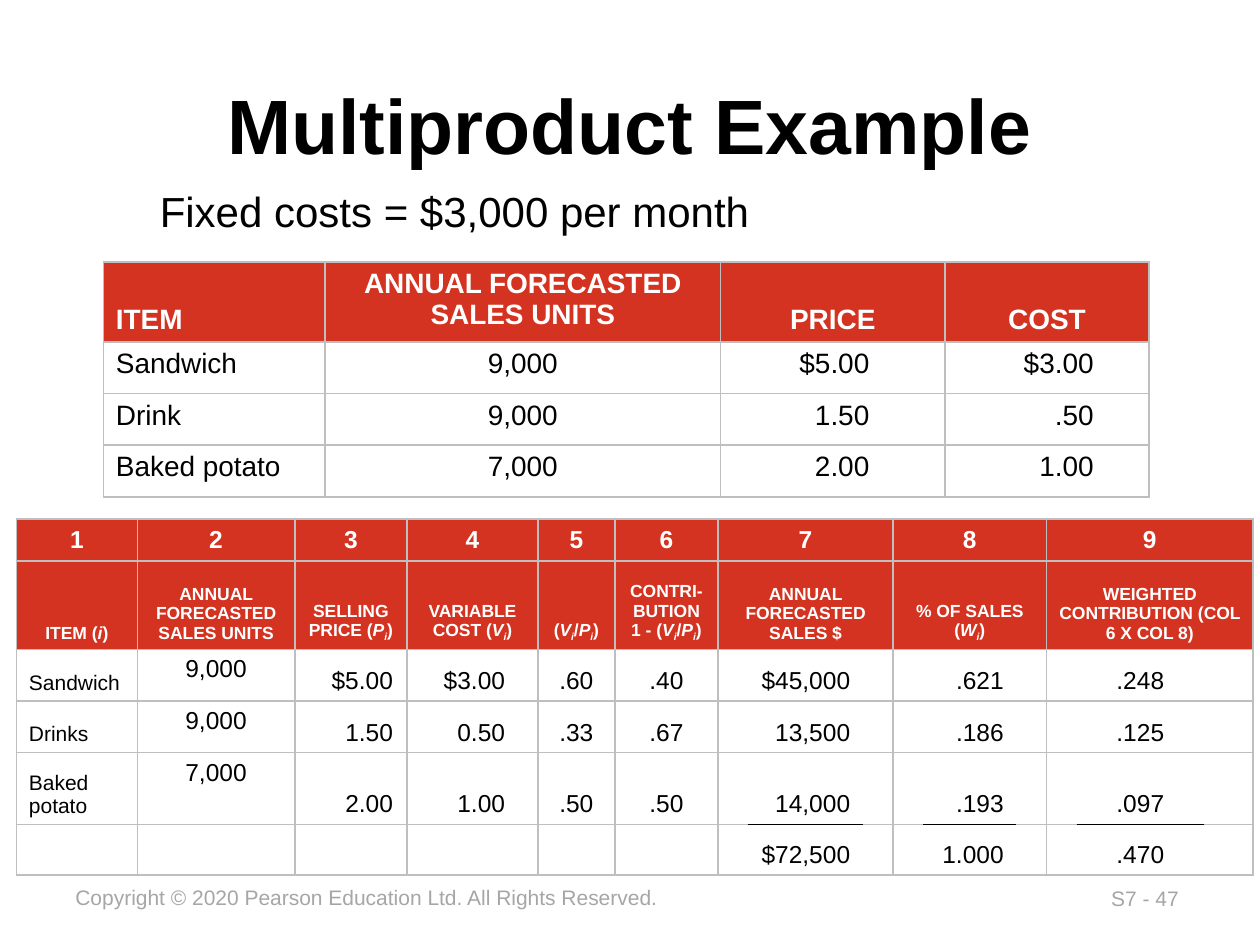
from lxml.etree import SubElement
from pptx import Presentation
from pptx.dml.color import RGBColor
from pptx.enum.text import MSO_ANCHOR, MSO_AUTO_SIZE, PP_ALIGN
from pptx.oxml.ns import qn
from pptx.util import Inches, Pt

RED, GREY, BLACK, WHITE = "D33320", "BFBFBF", "000000", "FFFFFF"
LEFT, MID, RIGHT = PP_ALIGN.LEFT, PP_ALIGN.CENTER, PP_ALIGN.RIGHT
TOP, LOW = MSO_ANCHOR.TOP, MSO_ANCHOR.BOTTOM


def style(font, size, color, bold=False):
    font.name, font.size, font.bold = "Arial", Pt(size), bold
    font.color.rgb = RGBColor.from_string(color)


def put(cell, text, size, color, align, anchor, fill=None, tab=None, edges=None):
    """Fill one cell; '|' splits runs, single letters are italic, '~' marks a subscript."""
    edges = edges or dict.fromkeys("LRTB", GREY)
    props = cell._tc.get_or_add_tcPr()
    for side in "LRTB":
        line = SubElement(props, qn("a:ln" + side), w=str(Pt(1)))
        if side in edges:
            paint = SubElement(line, qn("a:solidFill"))
            SubElement(paint, qn("a:srgbClr"), val=edges[side])
        else:
            SubElement(line, qn("a:noFill"))
    if fill:
        cell.fill.solid()
        cell.fill.fore_color.rgb = RGBColor.from_string(fill)
    else:
        cell.fill.background()
    cell.vertical_anchor = anchor
    if not text:
        return
    para = cell.text_frame.paragraphs[0]
    para.alignment = align
    if tab:
        stops = SubElement(para._p.get_or_add_pPr(), qn("a:tabLst"))
        SubElement(stops, qn("a:tab"), pos=str(Inches(tab)), algn="r")
        text = "\t" + text
    for part in text.split("|"):
        if part == "\v":
            para.add_line_break()
            continue
        run = para.add_run()
        run.text = part.lstrip("~")
        style(run.font, size, color, bold=bool(fill))
        if len(run.text) == 1 and run.text.isalpha():
            run.font.italic = True
        if part.startswith("~"):
            run.font._element.set("baseline", "-25000")


deck = Presentation()
deck.slide_width, deck.slide_height = Inches(10), Inches(7.5)
slide = deck.slides.add_slide(deck.slide_layouts[5])

# Title
title = slide.shapes.title
title.left, title.top = Inches(0.75), Inches(0.48)
title.width, title.height = Inches(8.5), Inches(1)
title.text_frame.text = "Multiproduct Example"
title.text_frame.vertical_anchor = MSO_ANCHOR.MIDDLE
title.text_frame.paragraphs[0].alignment = MID
style(title.text_frame.paragraphs[0].runs[0].font, 44, BLACK, True)

# Fixed costs and footer lines
lines = [
    (1.17, 1.42, 4.93, 0.51, "Fixed costs = $3,000 per month", 24, BLACK),
    (0.5, 6.97, 4.86, 0.3,
     "Copyright © 2020 Pearson Education Ltd. All Rights Reserved.", 12, "A6A6A6"),
    (8.72, 6.98, 0.76, 0.3, "S7 - 47", 12, "A6A6A6"),
]
for x, y, w, h, text, size, color in lines:
    frame = slide.shapes.add_textbox(Inches(x), Inches(y), Inches(w), Inches(h)).text_frame
    frame.word_wrap = False
    frame.auto_size = MSO_AUTO_SIZE.SHAPE_TO_FIT_TEXT
    frame.text = text
    style(frame.paragraphs[0].runs[0].font, size, color)

# Empty grids for both tables
grids = []
for x, y, cols, rows in [
    (0.82, 2.08, [1.76, 3.14, 1.78, 1.62], [0.62] + [0.41] * 3),
    (0.13, 4.12,
     [0.96, 1.25, 0.89, 1.04, 0.61, 0.82,
      0.23, 0.91, 0.23, 0.23, 0.74, 0.23, 0.23, 1.01, 0.39],
     [0.33, 0.7, 0.41, 0.41, 0.57, 0.4]),
]:
    grid = slide.shapes.add_table(len(rows), len(cols), Inches(x), Inches(y),
                                  Inches(sum(cols)), Inches(sum(rows))).table
    grid.first_row = grid.horz_banding = False
    for col, w in zip(grid.columns, cols):
        col.width = Inches(w)
    for row, h in zip(grid.rows, rows):
        row.height = Inches(h)
    grids.append(grid)
items, costs = grids

# Item table
for c, text in enumerate(["ITEM", "ANNUAL FORECASTED SALES UNITS", "PRICE", "COST"]):
    put(items.cell(0, c), text, 16, WHITE, MID if c else LEFT, TOP if c == 1 else LOW, RED)
data = [
    ("Sandwich", "9,000", "$5.00", "$3.00"),
    ("Drink", "9,000", "1.50", ".50"),
    ("Baked potato", "7,000", "2.00", "1.00"),
]
for r, row in enumerate(data, 1):
    for c, text in enumerate(row):
        put(items.cell(r, c), text, 16, BLACK, MID if c == 1 else LEFT, TOP,
            tab=1.08 if c > 1 else None)

# Contribution table: numbered headings, the last three over three columns each
heads = [
    "ITEM (|i|)", "ANNUAL FORECASTED SALES UNITS", "SELLING PRICE (|P|~i|)",
    "VARIABLE COST (|V|~i|)", "(|V|~i|/|P|~i|)",
    "CONTRI-|\v|BUTION|\v|1 - (|V|~i|/|P|~i|)", "ANNUAL FORECASTED SALES $",
    "% OF SALES (|W|~i|)", "WEIGHTED CONTRIBUTION (COL 6 X COL 8)",
]
for n, text in enumerate(heads):
    c = n if n < 6 else 6 + (n - 6) * 3
    for r in range(2):
        if n >= 6:
            costs.cell(r, c).merge(costs.cell(r, c + 2))
    put(costs.cell(0, c), str(n + 1), 14, WHITE, MID, MSO_ANCHOR.MIDDLE, RED)
    put(costs.cell(1, c), text, 10, WHITE, MID, LOW, RED)

# Contribution table: values and totals
data = [
    ("Sandwich", "9,000", "$5.00", "$3.00", ".60", ".40", "$45,000", ".621", ".248"),
    ("Drinks", "9,000", "1.50", "0.50", ".33", ".67", "13,500", ".186", ".125"),
    ("Baked potato", "7,000", "2.00", "1.00", ".50", ".50", "14,000", ".193", ".097"),
    ("", "", "", "", "", "", "$72,500", "1.000", ".470"),
]
aligns = [LEFT, MID, LEFT, LEFT, MID, MID, RIGHT, RIGHT, MID]
for r, row in enumerate(data, 2):
    for n, text in enumerate(row):
        if n < 6:
            put(costs.cell(r, n), text, 14 if n else 12, BLACK, aligns[n],
                TOP if n == 1 else LOW, tab=0.68 if text and n in (2, 3) else None)
            continue
        c = 6 + (n - 6) * 3
        core = {"T": BLACK if r == 5 else GREY, "B": BLACK if r == 4 else GREY}
        put(costs.cell(r, c), "", 14, BLACK, LEFT, TOP, edges=dict.fromkeys("LTB", GREY))
        put(costs.cell(r, c + 1), text, 14, BLACK, aligns[n], LOW, edges=core)
        put(costs.cell(r, c + 2), "", 14, BLACK, LEFT, TOP, edges=dict.fromkeys("RTB", GREY))

deck.save("out.pptx")
